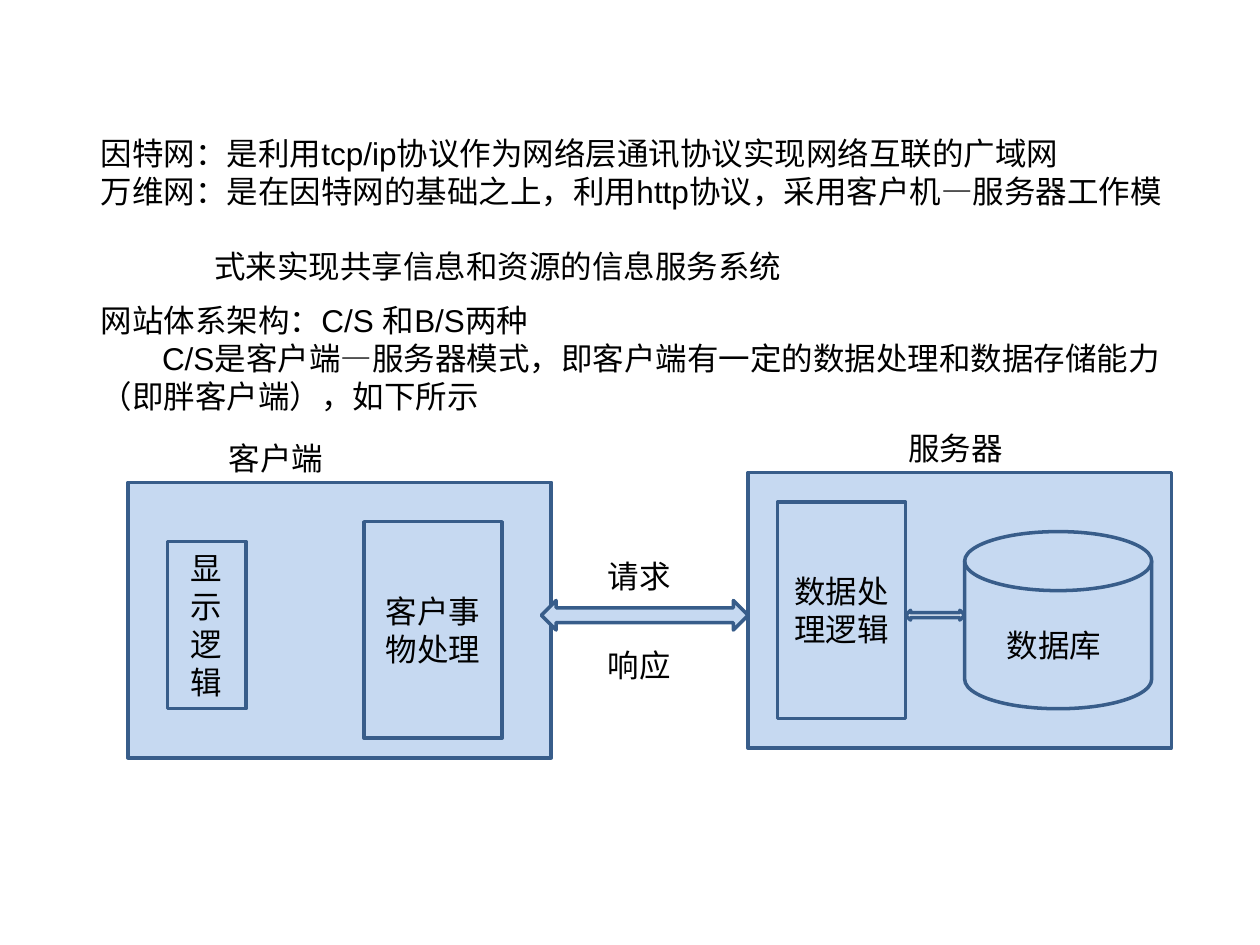
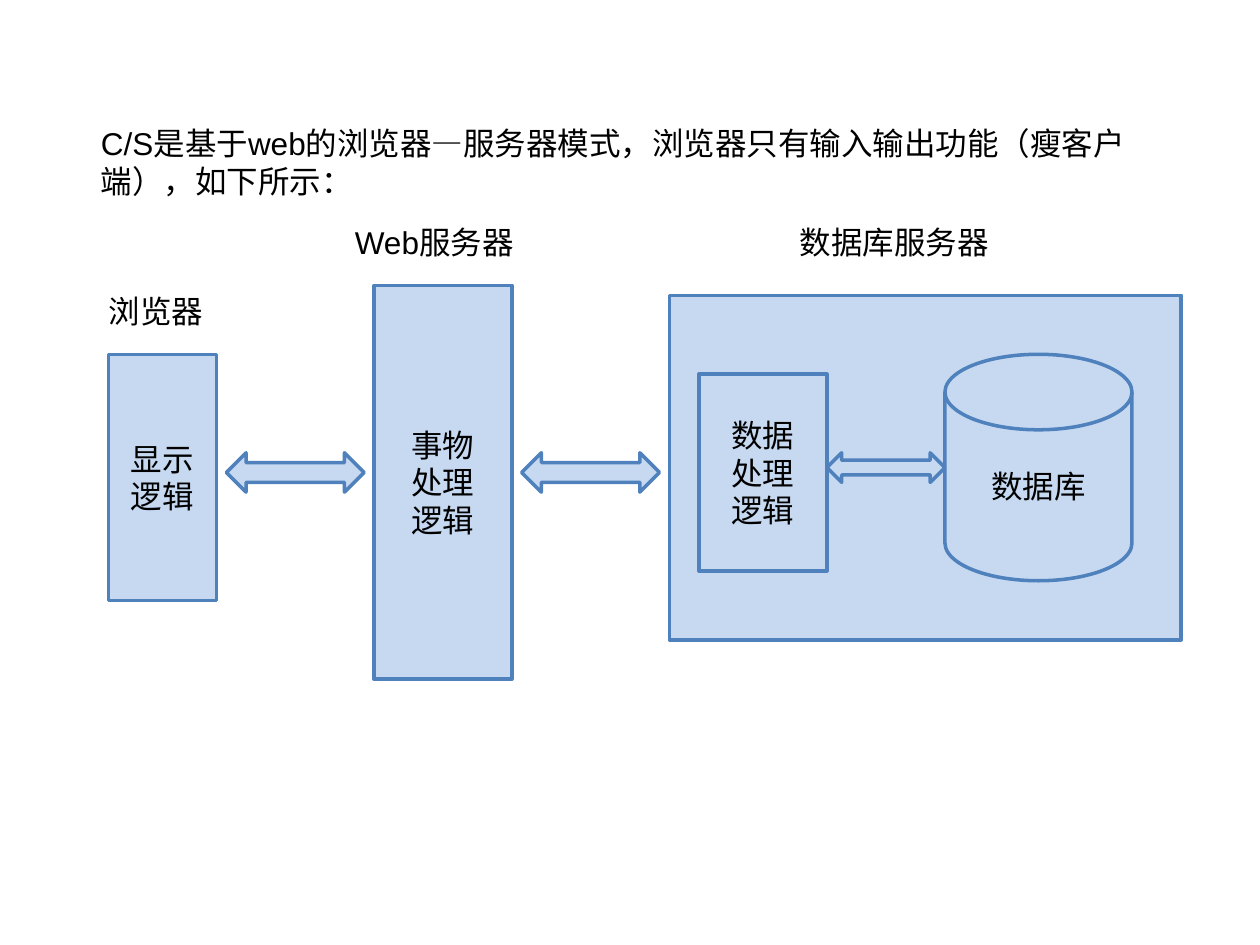
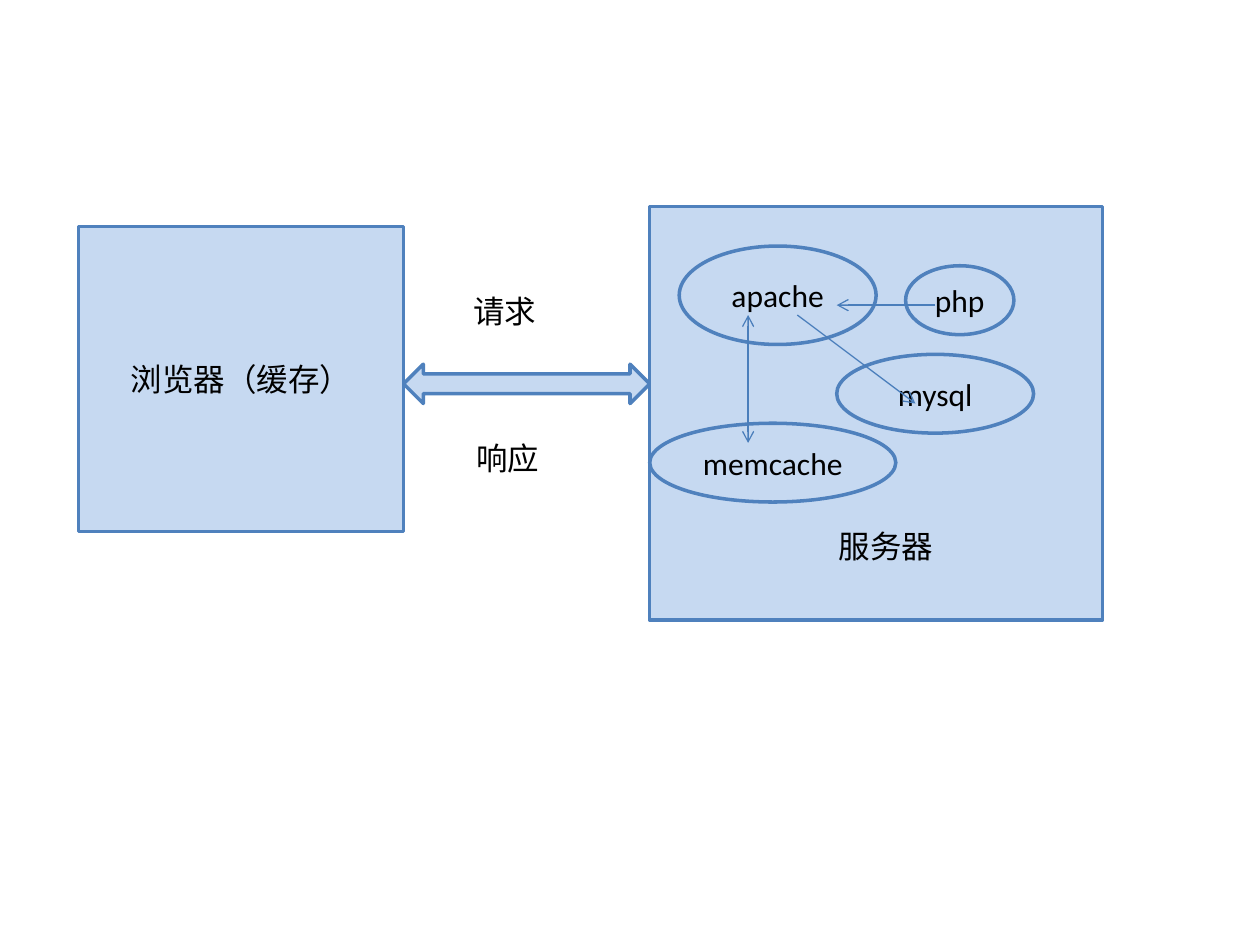
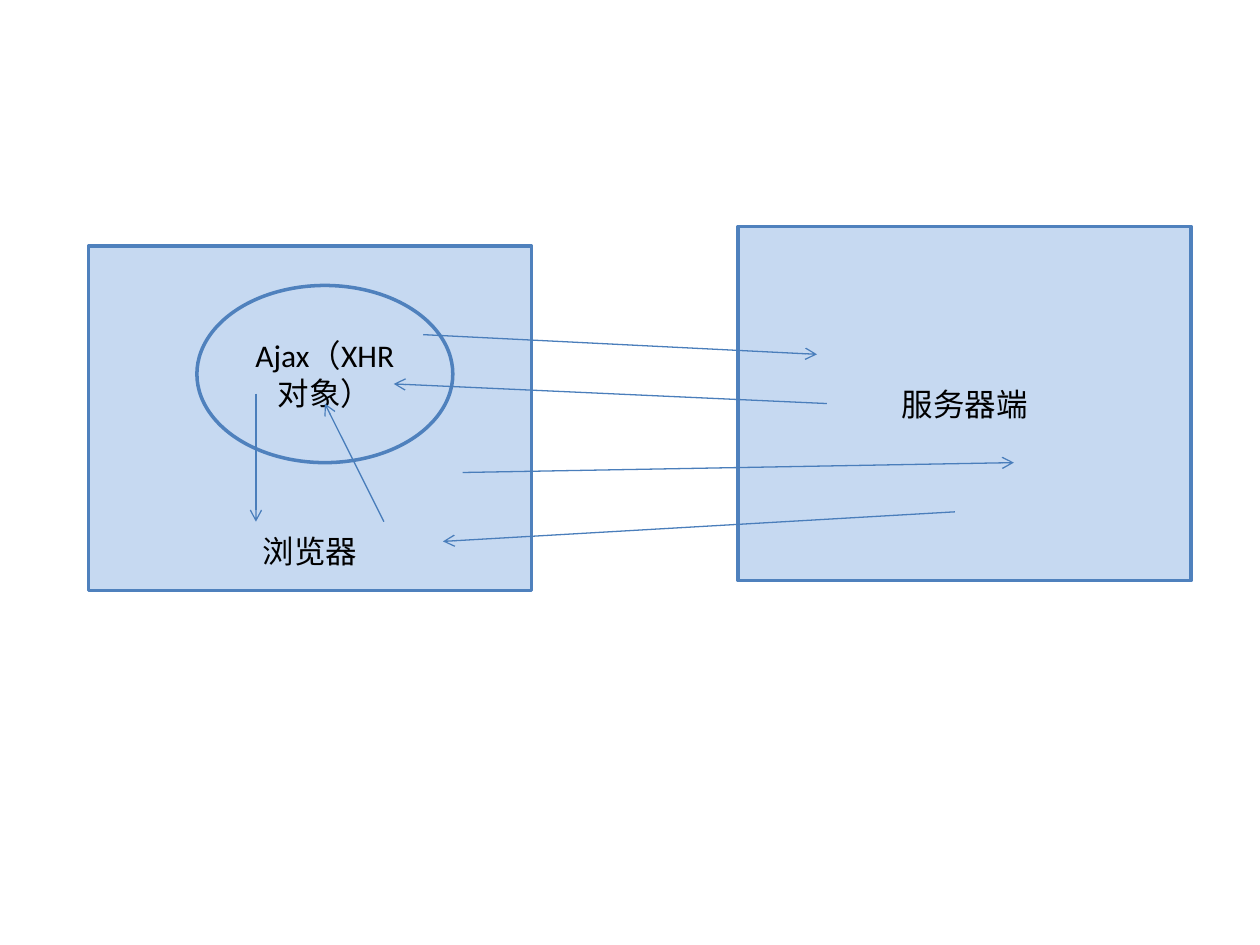
from functools import partial
from typing import NamedTuple

from pptx import Presentation
from pptx import util as u
from pptx.dml.color import RGBColor
from pptx.enum import shapes, text
from pptx.oxml.ns import qn

COLS, ROWS = 128, 96
WIDE, HIGH = u.Inches(10), u.Inches(7.5)
FILL, PALE, EDGE, NAVY, WIRE, INK = "C6D9F1", "DCE6F2", "4F81BD", "385D8A", "4A7EBB", "000000"
SIZE = u.Pt(18)
PAD = u.Inches(0.1)
KIND = shapes.MSO_SHAPE
RECT, OVAL, ARROW = KIND.RECTANGLE, KIND.OVAL, KIND.LEFT_RIGHT_ARROW


class Box(NamedTuple):
    """A region in grid columns and rows."""
    x: float
    y: float
    w: float
    h: float

    def sub(self, dx, dy, w, h):
        return Box(self.x + dx, self.y + dy, w, h)

    def emu(self):
        return across(self.x), down(self.y), across(self.w), down(self.h)


PAGE = Box(0, 0, COLS, ROWS)


def across(cols):
    return round(WIDE * cols / COLS)


def down(rows):
    return round(HIGH * rows / ROWS)


def color(code):
    return RGBColor.from_string(code)


def write(para, words, font):
    run = para.add_run()
    run.text = words
    run.font.size = SIZE
    run.font.name = font
    run.font.color.rgb = color(INK)


def note(slide, box, *lines):
    """Add a left-aligned text box; each line is (words, first indent in columns, points before)."""
    item = slide.shapes.add_textbox(*box.emu())
    frame = item.text_frame
    frame.word_wrap = True
    frame.auto_size = text.MSO_AUTO_SIZE.SHAPE_TO_FIT_TEXT
    for i, (words, indent, before) in enumerate(lines):
        para = frame.add_paragraph() if i else frame.paragraphs[0]
        if indent:
            para._p.get_or_add_pPr().set("indent", str(across(indent)))
        if before:
            para.space_before = u.Pt(before)
        write(para, words, "Arial")


def label(slide, box, words, indent=0):
    note(slide, box, (words, indent, 0))


def shape(slide, kind, box, *lines, edge=EDGE, fill=FILL):
    item = slide.shapes.add_shape(kind, *box.emu())
    item.shadow.inherit = False
    item.fill.solid()
    item.fill.fore_color.rgb = color(fill)
    item.line.color.rgb = color(edge)
    item.line.width = u.Pt(2)
    frame = item.text_frame
    frame.word_wrap = True
    frame.vertical_anchor = text.MSO_ANCHOR.MIDDLE
    for i, words in enumerate(lines):
        para = frame.add_paragraph() if i else frame.paragraphs[0]
        para.alignment = text.PP_ALIGN.CENTER
        write(para, words, "Calibri")
    return item


def sink(item, rows, shift=0):
    """Put a shape's text at its foot, raised by rows and moved right by shift columns."""
    frame = item.text_frame
    frame.vertical_anchor = text.MSO_ANCHOR.BOTTOM
    frame.margin_bottom = down(rows)
    frame.margin_left = PAD + across(2 * shift)


def wire(slide, box, start, end, both=False):
    """Draw a thin arrow between two points given relative to box."""
    (ax, ay), (bx, by) = start, end
    line = slide.shapes.add_connector(
        shapes.MSO_CONNECTOR.STRAIGHT, across(box.x + ax), down(box.y + ay),
        across(box.x + bx), down(box.y + by))
    line.line.color.rgb = color(WIRE)
    line.line.width = u.Pt(0.75)
    props = line._element.spPr
    stroke = props.find(qn("a:ln"))
    for tag in ("a:headEnd", "a:tailEnd") if both else ("a:tailEnd",):
        stroke.append(stroke.makeelement(qn(tag), {"type": "arrow"}))
    props.append(props.makeelement(qn("a:effectLst"), {}))


def client(slide, box, draw):
    draw(slide, RECT, box)
    draw(slide, RECT, box.sub(4, 6, 8, 17), "显示逻辑")
    label(slide, box.sub(9, -5, 22, 5), "客户端")
    draw(slide, RECT, box.sub(24, 4, 14, 22), "客户事物处理")


def server(slide, box, draw):
    draw(slide, RECT, box)
    label(slide, box.sub(15, -5, 17, 5), "服务器")
    draw(slide, RECT, box.sub(3, 3, 13, 22), "数据处理逻辑")
    drum = draw(slide, KIND.FLOWCHART_DIRECT_ACCESS_STORAGE, box.sub(22.5, 5.5, 18, 19))
    drum.rotation = 270
    label(slide, box.sub(25, 15, 15, 5), "数据库")
    draw(slide, ARROW, box.sub(16, 14, 6, 1), fill=PALE)


def fat(slide):
    draw = partial(shape, edge=NAVY)
    note(slide, PAGE.sub(9, 13, 113, 16.6),
         ("因特网：是利用tcp/ip协议作为网络层通讯协议实现网络互联的广域网", 0, 0),
         ("万维网：是在因特网的基础之上，利用http协议，采用客户机—服务器工作模", 0, 0),
         ("式来实现共享信息和资源的信息服务系统", 11.5, 21.5))
    note(slide, PAGE.sub(9, 30, 113, 12.8),
         ("网站体系架构：C/S 和B/S两种", 0, 0),
         ("C/S是客户端—服务器模式，即客户端有一定的数据处理和数据存储能力（即胖客户端），如下所示", 6.2, 0))
    client(slide, PAGE.sub(13, 49, 43, 28), draw)
    server(slide, PAGE.sub(76, 48, 43, 28), draw)
    draw(slide, ARROW, PAGE.sub(55, 61, 21, 3))
    label(slide, PAGE.sub(57, 56, 18, 5), "请求", 3.5)
    label(slide, PAGE.sub(57, 65, 17, 5), "响应", 3.5)


def store(slide, box):
    shape(slide, RECT, box)
    shape(slide, RECT, box.sub(3, 8, 13, 20), "数据", "处理", "逻辑")
    shape(slide, KIND.FLOWCHART_MAGNETIC_DISK, box.sub(28, 6, 19, 23), "数据库")
    shape(slide, ARROW, box.sub(16, 16, 12, 3))
    label(slide, box.sub(5, -8, 34, 5), "数据库服务器", 7)


def thin(slide):
    label(slide, PAGE.sub(9, 12, 111, 9),
          "C/S是基于web的浏览器—服务器模式，浏览器只有输入输出功能（瘦客户端），如下所示：")
    shape(slide, RECT, PAGE.sub(11, 36, 11, 25), "显示逻辑")
    label(slide, PAGE.sub(7, 29, 19, 5), "浏览器", 2.8)
    shape(slide, RECT, PAGE.sub(38, 29, 14, 40), "事物", "处理", "逻辑")
    label(slide, PAGE.sub(33, 22, 23, 5), "Web服务器", 1.8)
    store(slide, PAGE.sub(68, 30, 52, 35))
    for col in (23, 53):
        shape(slide, ARROW, PAGE.sub(col, 46, 14, 4))


def stack(slide, box):
    sink(shape(slide, RECT, box, "服务器"), 5.6, 1)
    for words, *place in (("apache", 3, 4, 20, 10), ("php", 26, 6, 11, 7),
                          ("mysql", 19, 15, 20, 8), ("memcache", 0, 22, 25, 8)):
        shape(slide, OVAL, box.sub(*place), words)
    wire(slide, box, (29, 10), (19, 10))
    wire(slide, box, (15, 11), (27, 20))
    wire(slide, box, (10, 11), (10, 24), both=True)


def cache(slide):
    shape(slide, RECT, PAGE.sub(8, 23, 33, 31), "浏览器（缓存）")
    stack(slide, PAGE.sub(66, 21, 46, 42))
    shape(slide, ARROW, PAGE.sub(41, 37, 25, 4))
    label(slide, PAGE.sub(44, 29, 19, 5), "请求", 2.8)
    label(slide, PAGE.sub(45, 44, 18, 5), "响应", 2.1)


def viewer(slide, box):
    sink(shape(slide, RECT, box, "浏览器"), 2.1)
    shape(slide, OVAL, box.sub(11, 4, 26, 18), "Ajax（XHR对象）")
    wire(slide, box, (17, 15), (17, 28))
    wire(slide, box, (30, 28), (24, 16))


def ajax(slide):
    shape(slide, RECT, PAGE.sub(75, 23, 46, 36), "服务器端")
    viewer(slide, PAGE.sub(9, 25, 45, 35))
    for start, end in (((43, 34), (83, 36)), ((84, 41), (40, 39)),
                       ((47, 48), (103, 47)), ((97, 52), (45, 55))):
        wire(slide, PAGE, start, end)


def main():
    deck = Presentation()
    deck.slide_width, deck.slide_height = WIDE, HIGH
    blank = deck.slide_layouts[6]
    for build in (fat, thin, cache, ajax):
        build(deck.slides.add_slide(blank))
    deck.save("out.pptx")


if __name__ == "__main__":
    main()
